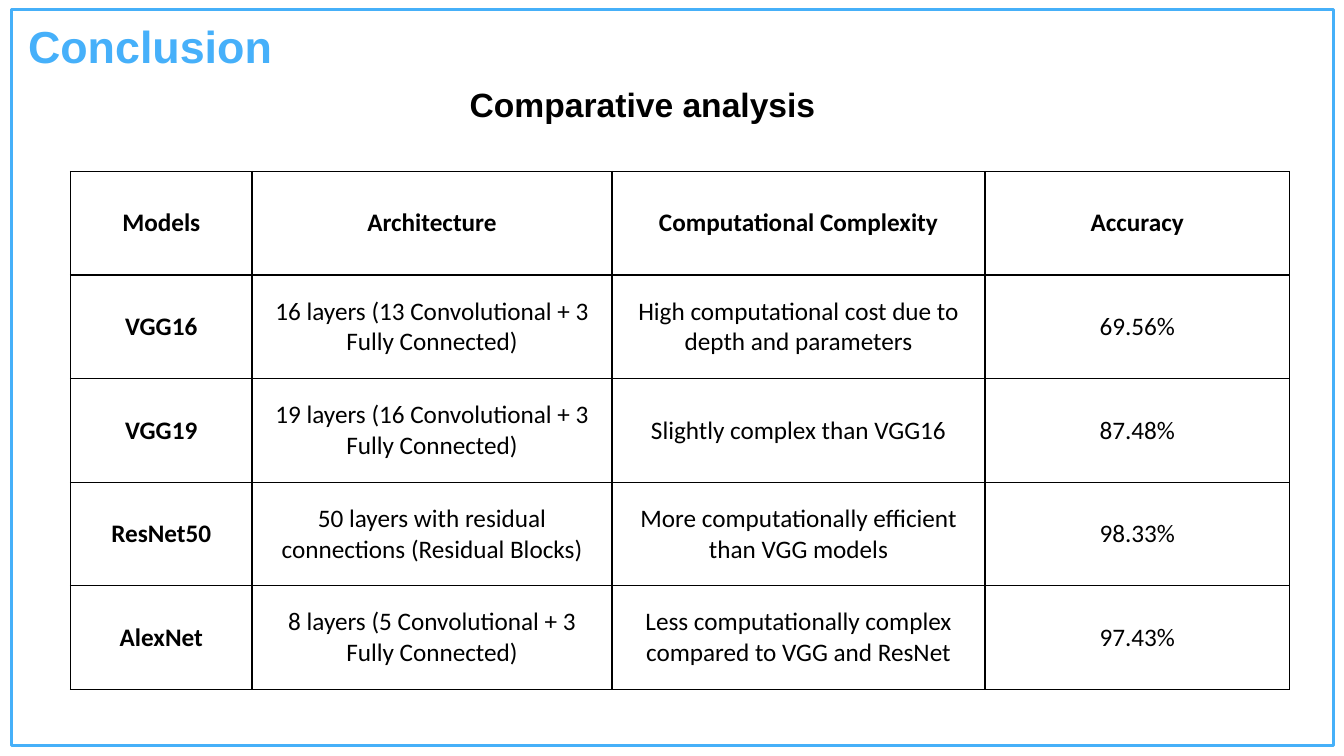
from dataclasses import dataclass

from lxml.etree import SubElement
from pptx import Presentation
from pptx.dml.color import RGBColor
from pptx.enum.shapes import MSO_SHAPE
from pptx.enum.text import MSO_ANCHOR, PP_ALIGN
from pptx.oxml.ns import qn
from pptx.util import Pt

EMU_PER_PX = 9144


@dataclass(frozen=True)
class Theme:
    frame: str = "46B0F9"
    title: str = "46B0FA"
    ink: str = "000000"
    paper: str = "FFFFFF"
    heading_font: str = "Arial"
    table_font: str = "Calibri"
    title_size: int = 32
    subtitle_size: int = 24
    table_size: int = 18
    frame_width: float = 2.25
    grid_width: int = 1


THEME = Theme()

COLUMN_WIDTHS = (180, 357, 370, 302)
ROWS = (
    ("Models", "Architecture", "Computational Complexity", "Accuracy"),
    ("VGG16", "16 layers (13 Convolutional + 3 Fully Connected)",
     "High computational cost due to depth and parameters", "69.56%"),
    ("VGG19", "19 layers (16 Convolutional + 3 Fully Connected)",
     "Slightly complex than VGG16", "87.48%"),
    ("ResNet50", "50 layers with residual connections (Residual Blocks)",
     "More computationally efficient than VGG models", "98.33%"),
    ("AlexNet", "8 layers (5 Convolutional + 3 Fully Connected)",
     "Less computationally complex compared to VGG and ResNet", "97.43%"),
)


def px(length):
    return length * EMU_PER_PX


def write(text_frame, text, *, font, size, color=THEME.ink, bold=False,
          align=PP_ALIGN.LEFT):
    text_frame.word_wrap = True
    para = text_frame.paragraphs[0]
    para.alignment = align
    span = para.add_run()
    span.text = text
    span.font.name = font
    span.font.size = Pt(size)
    span.font.bold = bold
    span.font.color.rgb = RGBColor.from_string(color)


def draw_frame(page, box):
    frame = page.shapes.add_shape(MSO_SHAPE.RECTANGLE, *map(px, box))
    frame.shadow.inherit = False
    frame.fill.background()
    frame.line.color.rgb = RGBColor.from_string(THEME.frame)
    frame.line.width = Pt(THEME.frame_width)


def draw_heading(page, box, text, **style):
    heading = page.shapes.add_textbox(*map(px, box))
    write(heading.text_frame, text, font=THEME.heading_font, bold=True, **style)


def outline_cell(cell):
    properties = cell._tc.get_or_add_tcPr()
    for position, side in enumerate(("a:lnL", "a:lnR", "a:lnT", "a:lnB")):
        line = SubElement(properties, qn(side), w=str(Pt(THEME.grid_width)))
        fill = SubElement(line, qn("a:solidFill"))
        SubElement(fill, qn("a:srgbClr"), val=THEME.ink)
        properties.insert(position, line)


def draw_comparison(page, box):
    left, top, width, height = box
    table = page.shapes.add_table(
        len(ROWS), len(COLUMN_WIDTHS), px(left), px(top), px(width), px(height)
    ).table
    table.first_row = False
    table.horz_banding = False
    for column, column_width in zip(table.columns, COLUMN_WIDTHS):
        column.width = px(column_width)
    for row_index, row in enumerate(ROWS):
        for column_index, text in enumerate(row):
            cell = table.cell(row_index, column_index)
            cell.vertical_anchor = MSO_ANCHOR.MIDDLE
            cell.fill.solid()
            cell.fill.fore_color.rgb = RGBColor.from_string(THEME.paper)
            outline_cell(cell)
            write(cell.text_frame, text, font=THEME.table_font,
                  size=THEME.table_size, align=PP_ALIGN.CENTER,
                  bold=row_index == 0 or column_index == 0)


def main():
    deck = Presentation()
    deck.slide_width, deck.slide_height = px(1333), px(750)
    page = deck.slides.add_slide(deck.slide_layouts[6])
    draw_frame(page, (11, 9, 1312, 731))
    draw_heading(page, (456, 78, 422, 50), "Comparative analysis",
                 size=THEME.subtitle_size)
    draw_heading(page, (18, 14, 666, 64), "Conclusion",
                 size=THEME.title_size, color=THEME.title)
    draw_comparison(page, (70, 170, sum(COLUMN_WIDTHS), 514))
    deck.save("out.pptx")


if __name__ == "__main__":
    main()
